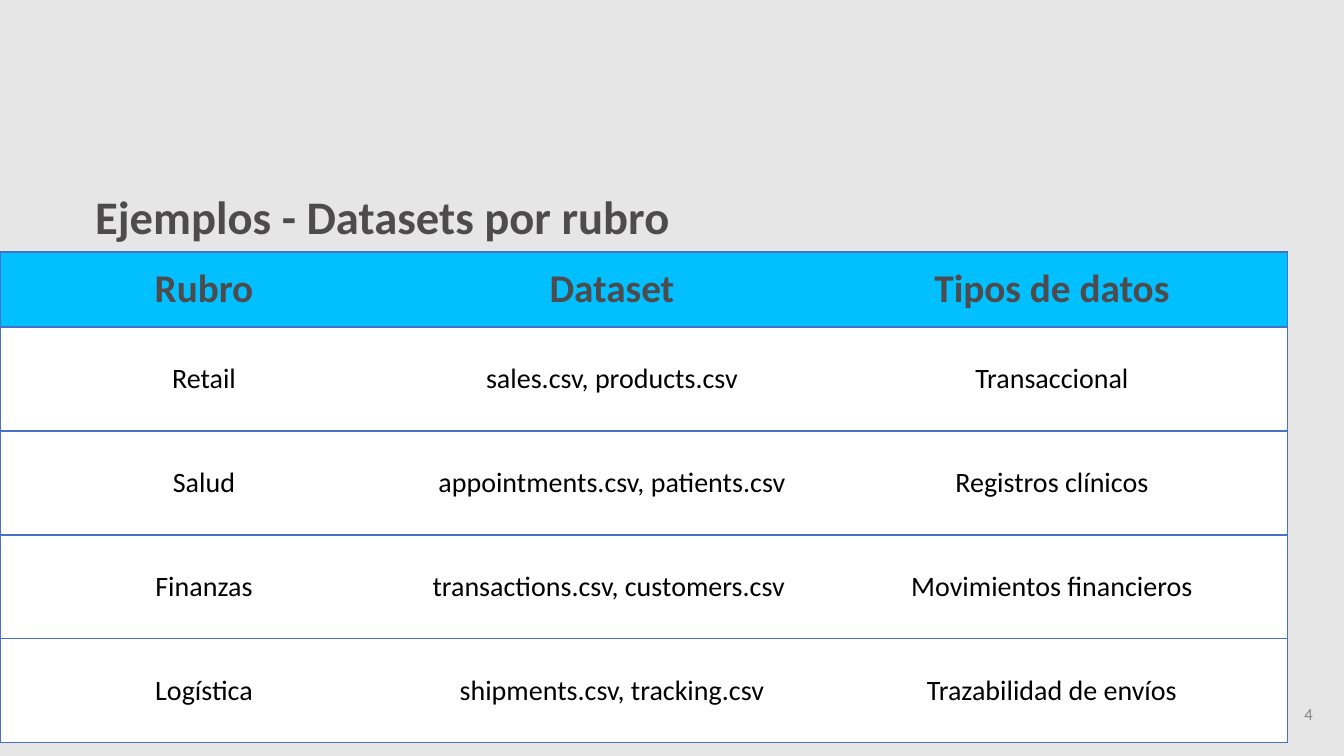
"""Build the slide that lists example datasets for each line of business."""
from lxml.etree import SubElement
from pptx import Presentation
from pptx.dml.color import RGBColor
from pptx.enum.text import MSO_ANCHOR, MSO_AUTO_SIZE, PP_ALIGN
from pptx.oxml.ns import qn
from pptx.util import Emu, Pt

TITLE = "Ejemplos - Datasets por rubro"
PAGE = "4"
ROWS = [
    ("Rubro", "Dataset", "Tipos de datos"),
    ("Retail", "sales.csv, products.csv", "Transaccional"),
    ("Salud", "appointments.csv, patients.csv", "Registros clínicos"),
    ("Finanzas", "transactions.csv, customers.csv ", "Movimientos financieros"),
    ("Logística", "shipments.csv, tracking.csv", "Trazabilidad de envíos"),
]
COLORS = {
    "back": "E7E6E6", "title": "4E4B4C", "page": "888888", "head": "02BFFF",
    "label": "4D4B4C", "body": "FFFFFF", "text": "000000", "line": "4472C4",
}
FONT = "Calibri"
WIDTHS = (408, 408, 472)
HEIGHTS = (75,) + (104,) * 4
TOP = 252
SCALE = 914400 / 100.8


def px(size):
    return Emu(round(size * SCALE))


def tint(name):
    return RGBColor.from_string(COLORS[name])


def write(frame, text, size, color, align, bold=False):
    para = frame.paragraphs[0]
    para.alignment = align
    run = para.add_run()
    run.text = text
    font = run.font
    font.name, font.size, font.bold = FONT, Pt(size), bold
    font.color.rgb = tint(color)


def place(shape, box, pad_x, pad_y, anchor):
    shape.left, shape.top, shape.width, shape.height = map(px, box)
    frame = shape.text_frame
    frame.word_wrap = True
    frame.auto_size = MSO_AUTO_SIZE.NONE
    frame.vertical_anchor = anchor
    frame.margin_left = frame.margin_right = px(pad_x)
    frame.margin_top = frame.margin_bottom = px(pad_y)
    return frame


def edge(cell, sides):
    props = cell._tc.get_or_add_tcPr()
    for side in "LRTB":
        line = SubElement(props, qn(f"a:ln{side}"), w=str(Pt(1)))
        if side in sides:
            fill = SubElement(line, qn("a:solidFill"))
            SubElement(fill, qn("a:srgbClr"), val=COLORS["line"])
        else:
            SubElement(line, qn("a:noFill"))


def fill_table(table):
    for column, width in zip(table.columns, WIDTHS):
        column.width = px(width)
    for r, (texts, height) in enumerate(zip(ROWS, HEIGHTS)):
        table.rows[r].height = px(height)
        head = r == 0
        for c, text in enumerate(texts):
            cell = table.cell(r, c)
            cell.vertical_anchor = MSO_ANCHOR.MIDDLE
            cell.margin_left = cell.margin_right = px(10)
            cell.margin_top = cell.margin_bottom = px(10)
            edge(cell, "TB" + ("L", "", "R")[c])
            cell.fill.solid()
            cell.fill.fore_color.rgb = tint("head" if head else "body")
            write(cell.text_frame, text, 28 if head else 20,
                  "label" if head else "text", PP_ALIGN.CENTER, head)


def main():
    deck = Presentation()
    deck.slide_width, deck.slide_height = px(1344), px(756)
    slide = deck.slides.add_slide(deck.slide_layouts[5])
    back = slide.background.fill
    back.solid()
    back.fore_color.rgb = tint("back")

    title = place(slide.shapes.title, (82, 181, 1008, 71), 13, 7, MSO_ANCHOR.TOP)
    write(title, TITLE, 33.3, "title", PP_ALIGN.LEFT, True)

    box = (1245, 685, 81, 57)
    page = place(slide.shapes.add_textbox(*map(px, box)), box, 13, 13,
                 MSO_ANCHOR.MIDDLE)
    write(page, PAGE, 12, "page", PP_ALIGN.RIGHT)

    area = (0, TOP, sum(WIDTHS), sum(HEIGHTS))
    grid = slide.shapes.add_table(len(ROWS), len(WIDTHS), *map(px, area))
    fill_table(grid.table)
    deck.save("out.pptx")


if __name__ == "__main__":
    main()
